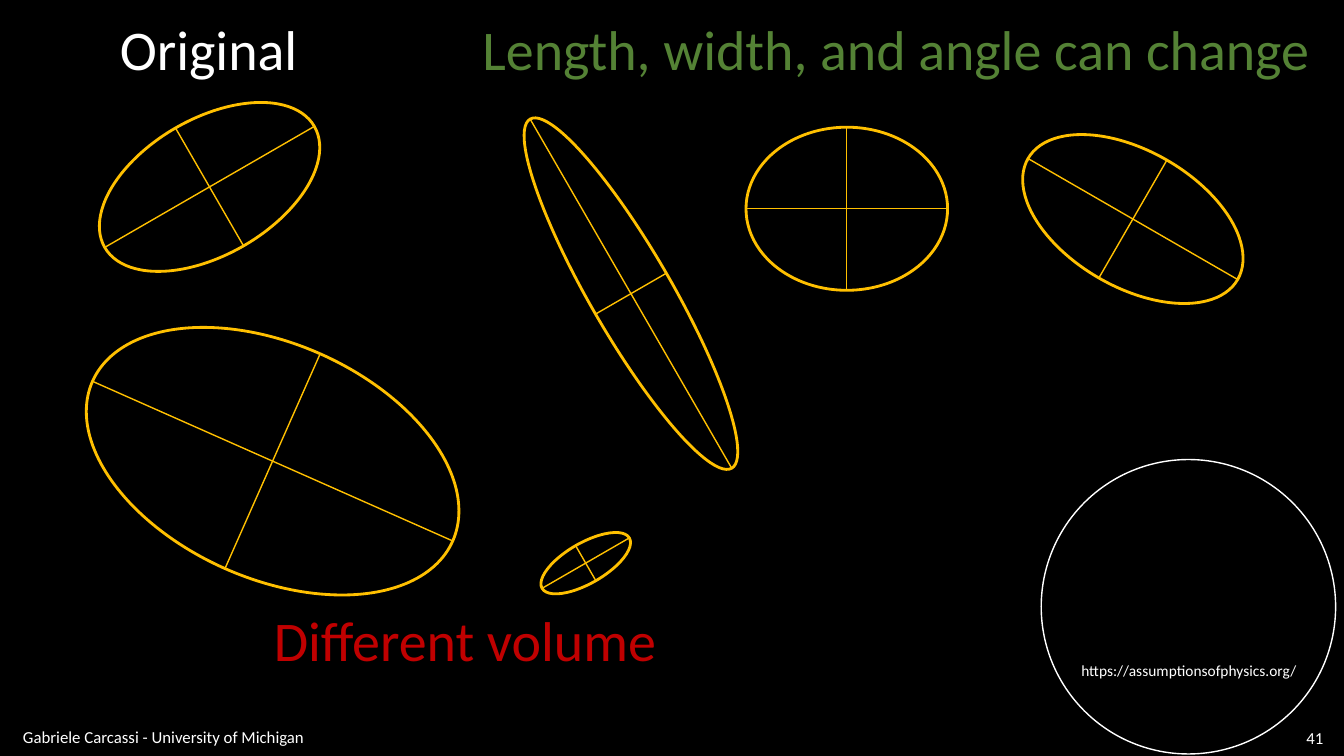
"""Build a slide of ellipses whose length, width, angle and volume vary."""
from math import cos, radians, sin

from lxml import etree
from pptx import Presentation
from pptx.dml.color import RGBColor
from pptx.enum import shapes, text
from pptx.oxml.ns import qn
from pptx.util import Cm, Pt

BLACK = RGBColor(0x00, 0x00, 0x00)
WHITE = RGBColor(0xFF, 0xFF, 0xFF)
GOLD = RGBColor(0xFF, 0xC0, 0x00)
GREEN = RGBColor(0x54, 0x82, 0x35)
RED = RGBColor(0xC0, 0x00, 0x00)

LEFT, RIGHT = text.PP_ALIGN.LEFT, text.PP_ALIGN.RIGHT
TOP, MIDDLE = text.MSO_ANCHOR.TOP, text.MSO_ANCHOR.MIDDLE

# wording, (left, top, width, height), size, colour, alignment, anchor, wrap
LABELS = [
    ("https://assumptionsofphysics.org/", (27, 16.54, 5.97, 0.74), 11, WHITE, LEFT, TOP, False),
    ("Gabriele Carcassi - University of Michigan", (0.33, 18.24, 16.59, 0.66), 12, WHITE, LEFT, MIDDLE, True),
    ("41", (32.05, 18.26, 1.55, 0.64), 12, WHITE, RIGHT, MIDDLE, True),
    ("Original", (2.77, 0.23, 5.03, 1.96), 40, WHITE, LEFT, TOP, False),
    ("Length, width, and angle can change", (11.91, 0.23, 21.56, 1.96), 40, GREEN, LEFT, TOP, False),
    ("Different volume", (6.65, 15.14, 10.26, 1.96), 40, RED, LEFT, TOP, False),
]
# centre x, centre y, length, width, angle
ELLIPSES = [
    (5.28, 4.71, 6.1, 3.43, 150),
    (15.9, 7.4, 10.16, 2.06, 60),
    (21.34, 5.26, 5.08, 4.11, 180),
    (28.55, 5.52, 6.1, 3.43, 30),
    (6.87, 11.62, 9.93, 5.92, 203.9),
    (14.76, 14.19, 2.54, 1.02, 150),
]
CIRCLE = (29.95, 15.29, 7.42, 7.42, 0)


def add_ellipse(s, ellipse, color, weight):
    """Draw an unfilled ellipse around its centre."""
    x, y, length, width, angle = ellipse
    sp = s.shapes.add_shape(shapes.MSO_SHAPE.OVAL, Cm(x - length / 2),
                            Cm(y - width / 2), Cm(length), Cm(width))
    sp.rotation = angle
    sp.shadow.inherit = False
    sp.fill.background()
    sp.line.color.rgb = color
    sp.line.width = Pt(weight)


def add_axes(s, ellipse):
    """Draw the two axes of an ellipse."""
    x, y, length, width, angle = ellipse
    for size, turn in ((length, angle), (width, angle + 90)):
        dx = size / 2 * cos(radians(turn))
        dy = size / 2 * sin(radians(turn))
        axis = s.shapes.add_connector(shapes.MSO_CONNECTOR.STRAIGHT, Cm(x - dx),
                                      Cm(y - dy), Cm(x + dx), Cm(y + dy))
        axis.line.color.rgb = GOLD
        axis.line.width = Pt(1)
        etree.SubElement(axis._element.spPr, qn("a:effectLst"))


def add_label(s, wording, box, size, color, align, anchor, wrap):
    """Add one line of text."""
    tf = s.shapes.add_textbox(*map(Cm, box)).text_frame
    fit = text.MSO_AUTO_SIZE.NONE if wrap else text.MSO_AUTO_SIZE.SHAPE_TO_FIT_TEXT
    frame = {"word_wrap": wrap, "auto_size": fit, "vertical_anchor": anchor}
    for name, value in frame.items():
        setattr(tf, name, value)
    p = tf.paragraphs[0]
    p.alignment = align
    r = p.add_run()
    r.text = wording
    for name, value in {"name": "Calibri", "size": Pt(size)}.items():
        setattr(r.font, name, value)
    r.font.color.rgb = color


def main():
    """Assemble and save the slide."""
    prs = Presentation()
    prs.slide_width, prs.slide_height = Cm(33.87), Cm(19.05)
    s = prs.slides.add_slide(prs.slide_layouts[6])
    s.background.fill.solid()
    s.background.fill.fore_color.rgb = BLACK
    add_ellipse(s, CIRCLE, WHITE, 1)
    for label in LABELS:
        add_label(s, *label)
    for ellipse in ELLIPSES:
        add_ellipse(s, ellipse, GOLD, 2)
        add_axes(s, ellipse)
    prs.save("out.pptx")


if __name__ == "__main__":
    main()
